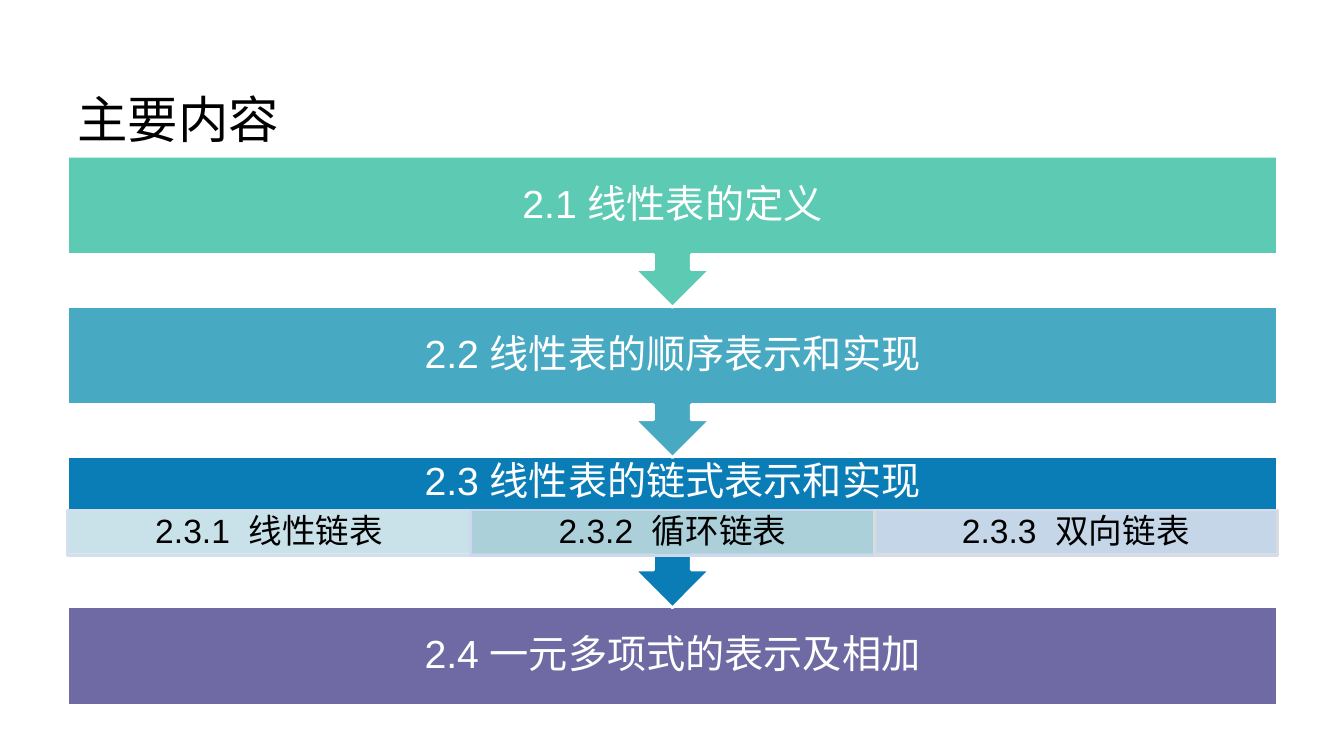
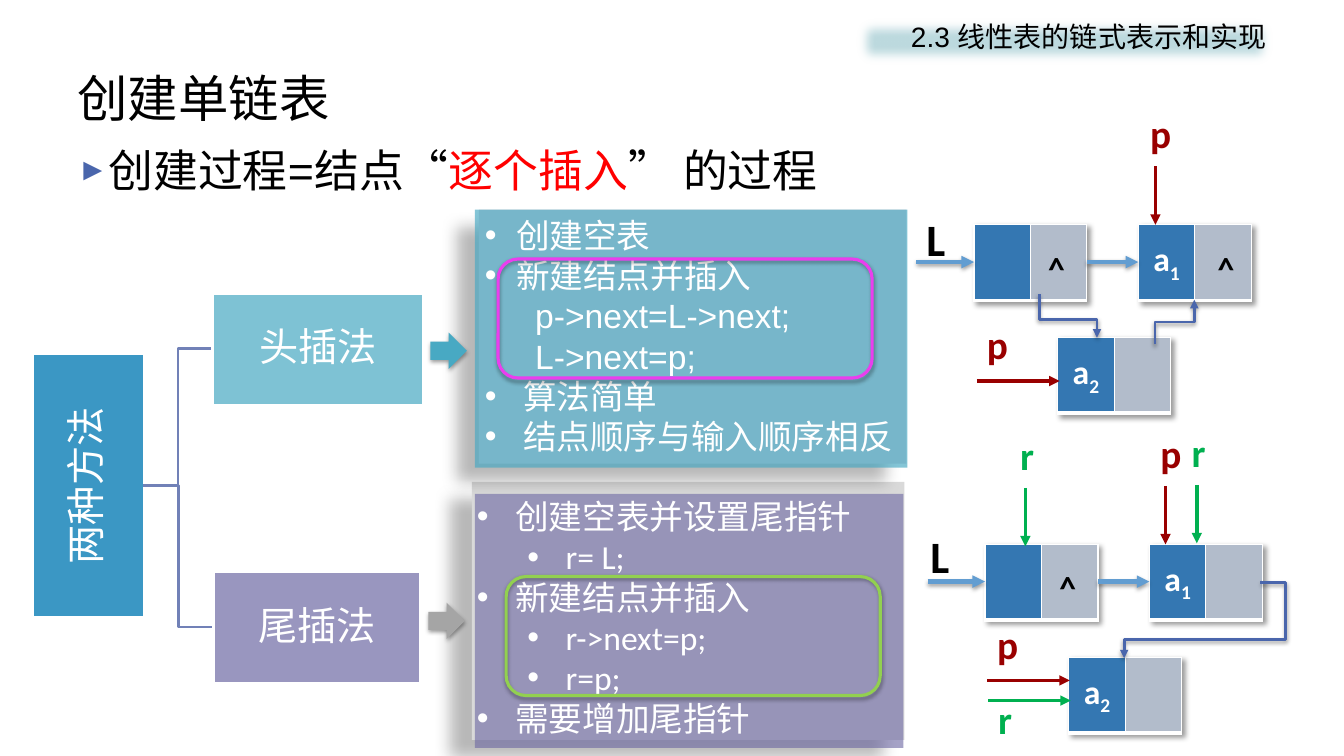
"""Build two lecture slides on linear lists: a chapter outline and list construction."""
from dataclasses import dataclass

from lxml import etree
from pptx import Presentation
from pptx import util as u
from pptx.dml.color import RGBColor
from pptx.enum import shapes, text
from pptx.oxml.ns import qn

PX = 9144
RECT = shapes.MSO_SHAPE.RECTANGLE
LEFT, CENTER, RIGHT = text.PP_ALIGN.LEFT, text.PP_ALIGN.CENTER, text.PP_ALIGN.RIGHT
TOP, MIDDLE = text.MSO_ANCHOR.TOP, text.MSO_ANCHOR.MIDDLE


@dataclass(frozen=True)
class Theme:
    latin: str = "Arial"
    code: str = "Calibri"
    cjk: str = "Noto Sans CJK SC"
    white: str = "FFFFFF"
    black: str = "000000"
    red: str = "FF0000"
    green: str = "5DCAB3"
    teal: str = "48A9C3"
    blue: str = "0A7DB6"
    purple: str = "6F6AA4"
    pale: str = "BDDADF"
    accent: str = "4A66AC"
    bracket: str = "7181B7"
    link: str = "629DD1"
    data: str = "3477B2"
    pointer: str = "B2BCCB"
    maroon: str = "990000"
    leaf: str = "00B050"
    gray: str = "A5A5A5"
    title: int = 36
    body: int = 32
    band: int = 28
    item: int = 24
    header: int = 20
    soft: tuple = (38, 3.1, 1.6, 90)
    deep: tuple = (28, 11.8, 19.7, 141)


T = Theme()

BANDS = [("2.1 线性表的定义", T.green), ("2.2 线性表的顺序表示和实现", T.teal),
         ("2.3 线性表的链式表示和实现", T.blue), ("2.4 一元多项式的表示及相加", T.purple)]
SECTIONS = [("2.3.1", "线性链表", "DEECEF", "D3DFEE"),
            ("2.3.2", "循环链表", "BDDADF", "CDD8EF"),
            ("2.3.3", "双向链表", "DAE0EF", "D8DBE2")]

PROCESS = [("创建过程=结点“", {}), ("逐个插入", {"color": T.red}), ("” 的过程", {})]
METHODS = [("头插法", (211, 291, 209, 111), T.teal), ("尾插法", (212, 567, 205, 111), T.purple)]
NEAR, WIDE, CODE, NESTED = (31, -31, "•"), (38, -38, "•"), (50, 0, ""), (88, -38, "•")
PANELS = [
    {"box": (471, 208, 429, 256), "back": (475, 208, 424, 252), "back_fill": "D8D3D9",
     "fill": T.teal, "alpha": 67, "inset": (10, 5, 10, 5), "arrow": (427, 330, T.teal),
     "frame": (494, 257, "EA3EEE"),
     "items": [("创建空表", NEAR), ("新建结点并插入", NEAR), ("p->next=L->next;", CODE),
               ("L->next=p;", CODE), ("算法简单", WIDE), ("结点顺序与输入顺序相反", WIDE)]},
    {"box": (471, 490, 425, 252), "back": (468, 478, 429, 256), "back_fill": "D9D9D9",
     "fill": T.purple, "alpha": 62, "inset": (2, 2, 2, 2), "arrow": (425, 598, T.gray),
     "frame": (502, 572, "92D050"),
     "items": [("创建空表并设置尾指针", WIDE), ("r= L;", NESTED), ("新建结点并插入", WIDE),
               ("r->next=p;", NESTED), ("r=p;", NESTED), ("需要增加尾指针", WIDE)]},
]
NODES = [(0, 0, ""), (163, 0, "1"), (83, 112, "2")]
LINKS = [(-57, 0), (112, 163)]
DIAGRAMS = [
    {"origin": (966, 223), "list_label": (909, 205), "carets": [52, 220],
     "down": [("p", T.maroon, 1146, 223)],
     "across": [("p", T.maroon, 1051, 378, -65)],
     "elbows": [((1081, 285), (1038, 342), 270, "bentConnector3", [57700]),
                ((1187, 339), (1143, 300), 90, "bentConnector3", [50000])]},
    {"origin": (977, 540), "list_label": (913, 520), "carets": [52],
     "down": [("p", T.maroon, 1156, 540), ("r", T.leaf, 1017, 542), ("r", T.leaf, 1187, 539)],
     "across": [("p", T.maroon, 1061, 675, -65), ("r", T.leaf, 1062, 695, -10)],
     "elbows": [((1250, 578), (1115, 653), 0, "bentConnector4", [-18500, 75000])]},
]


def px(*values):
    return [u.Emu(value * PX) for value in values]


def rgb(color):
    return RGBColor.from_string(color)


def node(parent, tag, **attributes):
    child = etree.SubElement(parent, qn(tag))
    for name, value in attributes.items():
        child.set(name, str(value))
    return child


def cast(effects, shadow):
    alpha, blur, distance, angle = shadow
    outer = node(effects, "a:outerShdw", blurRad=int(blur * 12700), dist=int(distance * 12700),
                 dir=angle * 60000, algn="tl", rotWithShape=0)
    node(node(outer, "a:srgbClr", val=T.black), "a:alpha", val=alpha * 1000)


def set_alpha(fill_parent, percent):
    node(fill_parent.find(".//" + qn("a:srgbClr")), "a:alpha", val=percent * 1000)


def add_block(page, box, fill=None, alpha=100, line=None, width=2, kind=RECT, shadow=None):
    block = page.shapes.add_shape(kind, *px(*box))
    block.shadow.inherit = False
    if fill:
        block.fill.solid()
        block.fill.fore_color.rgb = rgb(fill)
        if alpha < 100:
            set_alpha(block._element.spPr.find(qn("a:solidFill")), alpha)
    else:
        block.fill.background()
    if line:
        block.line.color.rgb = rgb(line)
        block.line.width = u.Pt(width)
    else:
        block.line.fill.background()
    if shadow:
        cast(block._element.spPr.find(qn("a:effectLst")), shadow)
    return block


def add_span(para, words, size, color, font=T.latin, bold=False, gap=0, base=0):
    span = para.add_run()
    span.text = words
    span.font.size = u.Pt(size)
    span.font.bold = bold
    span.font.name = font
    span.font.color.rgb = rgb(color)
    properties = span._r.get_or_add_rPr()
    node(properties, "a:ea", typeface=T.cjk)
    if gap:
        properties.set("spc", str(gap))
    if base:
        properties.set("baseline", str(base))


def set_layout(para, layout):
    left, first, bullet = layout
    properties = para._p.get_or_add_pPr()
    properties.set("marL", str(left * PX))
    properties.set("indent", str(first * PX))
    if bullet == "►":
        node(node(properties, "a:buClr"), "a:srgbClr", val=T.accent)
        node(properties, "a:buSzPct", val=70000)
    if bullet:
        node(properties, "a:buFont", typeface=T.latin)
        node(properties, "a:buChar", char=bullet)


def write(owner, paragraphs, size, color, align=LEFT, anchor=TOP, inset=(10, 5, 10, 5),
          spacing=None, **style):
    frame = owner.text_frame
    frame.word_wrap = True
    frame.vertical_anchor = anchor
    frame.margin_left, frame.margin_top, frame.margin_right, frame.margin_bottom = px(*inset)
    for index, (spans, layout) in enumerate(paragraphs):
        para = frame.add_paragraph() if index else frame.paragraphs[0]
        para.alignment = align
        if spacing:
            para.line_spacing = spacing
        if layout:
            set_layout(para, layout)
        for words, changes in spans:
            add_span(para, words, **{"size": size, "color": color, **style, **changes})


def plain(words):
    return [([(words, {})], None)]


def add_label(page, box, paragraphs, size, color, **style):
    write(page.shapes.add_textbox(*px(*box)), paragraphs, size, color, **style)


def add_title(page, words, top):
    add_label(page, (67, top, 1200, 75), plain(words), T.title, T.black,
              anchor=MIDDLE, font=T.cjk)


def add_line(page, start, end, color, width, arrow=True, shadow=None, bend=None):
    kind = shapes.MSO_CONNECTOR.ELBOW if bend else shapes.MSO_CONNECTOR.STRAIGHT
    line = page.shapes.add_connector(kind, *px(*start, *end))
    line.line.color.rgb = rgb(color)
    line.line.width = u.Pt(width)
    properties = line._element.spPr
    if arrow:
        node(properties.find(qn("a:ln")), "a:tailEnd", type="triangle")
    effects = node(properties, "a:effectLst")
    if shadow:
        cast(effects, shadow)
    if bend:
        angle, preset, adjusts = bend
        properties.find(qn("a:xfrm")).set("rot", str(angle * 60000))
        geometry = properties.find(qn("a:prstGeom"))
        geometry.set("prst", preset)
        guides = geometry.find(qn("a:avLst"))
        for number, value in enumerate(adjusts, 1):
            node(guides, "a:gd", name=f"adj{number}", fmla=f"val {value}")


def add_node(page, left, top, subscript):
    table = page.shapes.add_table(1, 2, *px(left, top, 112, 75)).table
    table.first_row = table.horz_banding = False
    effects = etree.Element(qn("a:effectLst"))
    cast(effects, (40, 4, 3, 45))
    table._tbl.tblPr.insert(0, effects)
    for cell, fill in zip(table.rows[0].cells, (T.data, T.pointer)):
        properties = cell._tc.get_or_add_tcPr()
        for side, width in zip("LRTB", (1, 1, 1, 3)):
            border = node(properties, f"a:ln{side}", w=width * 12700)
            node(node(border, "a:solidFill"), "a:srgbClr", val=T.white)
        cell.fill.solid()
        cell.fill.fore_color.rgb = rgb(fill)
    if subscript:
        cell = table.cell(0, 0)
        cell.vertical_anchor = MIDDLE
        para = cell.text_frame.paragraphs[0]
        para.alignment = CENTER
        for words, base in (("a", 0), (subscript, -25000)):
            add_span(para, words, T.item, T.white, T.code, True, base=base)


def add_diagram(page, diagram):
    left, top = diagram["origin"]
    mark = {"font": T.code, "bold": True}
    add_label(page, (*diagram["list_label"], 54, 64), plain("L"), T.body, T.black, **mark)
    for dx, dy, subscript in NODES:
        add_node(page, left + dx, top + dy, subscript)
    for begin, end in LINKS:
        add_line(page, (left + begin, top + 37), (left + end, top + 37), T.link, 3,
                 shadow=T.soft)
    for dx in diagram["carets"]:
        add_label(page, (left + dx, top + 18, 60, 50), plain("^"), T.item, T.black,
                  align=CENTER, **mark)
    for letter, color, x, y in diagram["down"]:
        add_line(page, (x, y - 58), (x, y), color, 2.5)
        add_label(page, (x - 15, y - 119, 30, 57), plain(letter), T.band, color, **mark)
    for letter, color, x, y, rise in diagram["across"]:
        add_line(page, (x - 82, y), (x, y), color, 2.5)
        add_label(page, (x - 82, y + rise, 42, 57), plain(letter), T.band, color, **mark)
    for start, end, *bend in diagram["elbows"]:
        add_line(page, start, end, T.accent, 2, shadow=T.soft, bend=bend)


def build_outline(page):
    add_title(page, "主要内容", 80)
    left, top, width, step, body = 67, 155, 1200, 149, 98
    split = BANDS[2]
    last = len(BANDS) - 1
    for index in range(last, -1, -1):
        words, fill = band = BANDS[index]
        kind, height = (RECT, body) if index == last else (
            shapes.MSO_SHAPE.DOWN_ARROW_CALLOUT, step + 1)
        block = add_block(page, (left, top + index * step, width, height), fill,
                          line=T.white, kind=kind)
        write(block, plain(words), T.band, T.white, CENTER, MIDDLE,
              (22, 0, 22, 45 if band == split else 0), 0.9)
    for index, (number, name, fill, edge) in enumerate(SECTIONS):
        box = (left + index * width // 3, 506, width // 3, 45)
        block = add_block(page, box, fill, 90, edge)
        spans = [(number, {}), (" ", {"gap": 670}), (name, {})]
        write(block, [(spans, None)], T.item, T.black, CENTER, MIDDLE, (19, 3, 19, 3), 0.9)


def build_methods(page):
    for panel in reversed(PANELS):
        add_block(page, panel["back"], panel["back_fill"], shadow=T.deep)
    add_title(page, "创建单链表", 59)
    add_label(page, (67, 137, 1200, 75), [(PROCESS, (28, -28, "►"))], T.body, T.black)
    header = add_block(page, (846, 14, 420, 54), T.pale)
    node(header._element.spPr.find(qn("a:effectLst")), "a:softEdge", rad=12 * PX)
    write(header, plain(BANDS[2][0]), T.header, T.black, RIGHT)

    root = add_block(page, (32, 351, 111, 262), T.blue, 80, T.white)
    label = {"align": CENTER, "anchor": MIDDLE, "inset": (2, 2, 2, 2), "spacing": 0.9}
    write(root, plain("两种方法"), T.band, T.white, **label)
    root.text_frame._txBody.bodyPr.set("vert", "vert270")
    for words, box, fill in METHODS:
        add_line(page, (142, 482), (box[0], box[1] + box[3] // 2), T.bracket, 2, False,
                 bend=(0, "bentConnector3", [50000]))
        write(add_block(page, box, fill, 70, T.white), plain(words), T.band, T.white, **label)

    for diagram in DIAGRAMS:
        add_diagram(page, diagram)
    for panel in PANELS:
        block = add_block(page, panel["box"], panel["fill"], panel["alpha"])
        items = [([(words, {"font": T.code if layout == NESTED else T.latin})], layout)
                 for words, layout in panel["items"]]
        write(block, items, T.item, T.white, inset=panel["inset"])
        x, y, color = panel["arrow"]
        add_block(page, (x, y, 36, 36), color, kind=shapes.MSO_SHAPE.RIGHT_ARROW, shadow=T.soft)
        x, y, color = panel["frame"]
        add_block(page, (x, y, 371, 118), line=color, width=2.25,
                  kind=shapes.MSO_SHAPE.ROUNDED_RECTANGLE, shadow=T.soft)


def main():
    deck = Presentation()
    deck.slide_width, deck.slide_height = px(1333, 750)
    for build in (build_outline, build_methods):
        build(deck.slides.add_slide(deck.slide_layouts[6]))
    deck.save("out.pptx")


if __name__ == "__main__":
    main()
